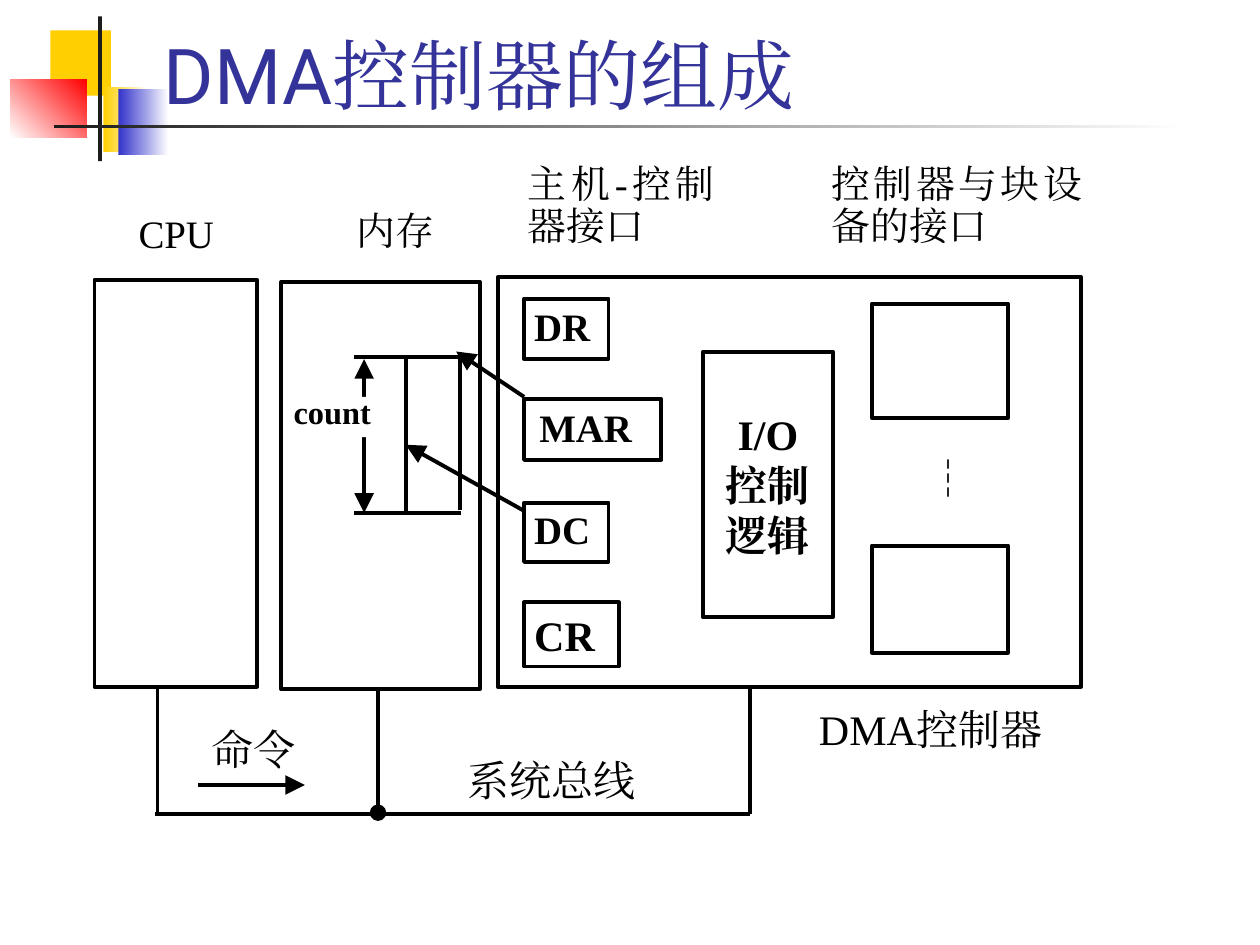
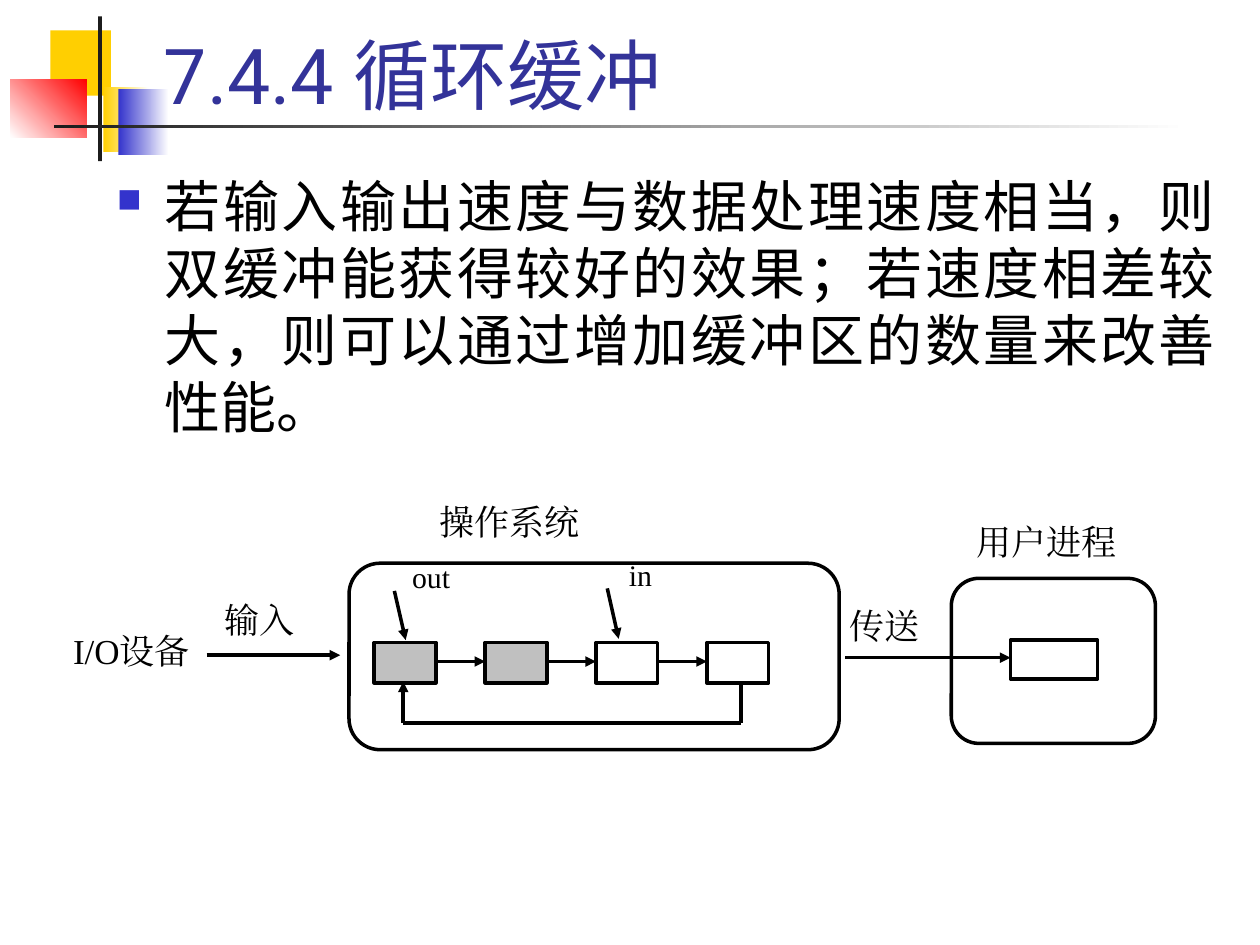
import pptx
import pptx.util
import pptx.dml.color
import pptx.enum.shapes
import pptx.enum.text
import pptx.oxml
import pptx.oxml.ns
from lxml import etree

Inches = pptx.util.Inches
Pt = pptx.util.Pt
qn = pptx.oxml.ns.qn
SHAPE = pptx.enum.shapes.MSO_SHAPE
ALIGN = pptx.enum.text.PP_ALIGN
ANCHOR = pptx.enum.text.MSO_ANCHOR

COLORS = {
    "black": "000000",
    "white": "FFFFFF",
    "title": "333399",
    "blue": "3333CC",
    "yellow": "FFCF01",
    "red": "FF0000",
    "dark": "1C1C1C",
    "gray": "C0C0C0",
}
SERIF = "Times New Roman"
SANS = "Roboto"
SYMBOL = "Noto Sans CJK SC"


def rgb(name):
    """Return the named colour as an RGB value."""
    return pptx.dml.color.RGBColor.from_string(COLORS[name])


class Deck:
    """Hold the shared style and the slide being drawn."""

    def __init__(self):
        """Start a deck with its decorated title-only layout."""
        self.presentation = pptx.Presentation()
        self.presentation.slide_width = Inches(10)
        self.presentation.slide_height = Inches(7.5)
        self.layout = self.presentation.slide_layouts[5]
        self.slide = None
        self.line_width = 2
        self.arrow_size = "med"

    def new_slide(self, title_runs, line_width, arrow_size):
        """Add a slide with its title and set its line style."""
        first = self.slide is None
        self.slide = self.presentation.slides.add_slide(self.layout)
        self.line_width = line_width
        self.arrow_size = arrow_size
        if first:
            self.decorate_layout()
        title = self.slide.shapes.title
        title.left, title.top = Inches(1.2), Inches(0.17)
        title.width, title.height = Inches(8.52), Inches(0.83)
        self.frame(title, (0.1, 0.05, 0.1, 0.05), ANCHOR.BOTTOM)
        paragraph = title.text_frame.paragraphs[0]
        paragraph.alignment = ALIGN.LEFT
        for text, font in title_runs:
            self.run(paragraph, text, 44, font, "title")

    def decorate_layout(self):
        """Place the coloured squares and rules on the layout."""
        decorations = (
            ((0.4, 0.24, 0.48, 0.52), "yellow", None, 0),
            ((0.82, 0.69, 0.36, 0.52), "yellow", "white", 0),
            ((0.94, 0.71, 0.4, 0.52), "blue", "white", 0),
            ((0.08, 0.63, 0.61, 0.46), "white", "red", 45),
            ((0.78, 0.13, 0.03, 1.15), "dark", None, 0),
            ((0.43, 0.99, 9, 0.03), "dark", "white", 0),
        )
        for index, (place, start, end, angle) in enumerate(decorations):
            shape = self.box(place, fill=start, outlined=False)
            if end:
                shape.fill.gradient()
                shape.fill.gradient_angle = angle
                for stop, color in zip(shape.fill.gradient_stops, (start, end)):
                    stop.color.rgb = rgb(color)
            shape.element.nvSpPr.cNvPr.id = 20 + index
            self.layout.shapes.element.insert(2 + index, shape.element)

    def box(self, place, fill="white", kind=SHAPE.RECTANGLE, outlined=True):
        """Draw a filled preset shape."""
        shape = self.slide.shapes.add_shape(kind, *map(Inches, place))
        shape.shadow.inherit = False
        shape.fill.solid()
        shape.fill.fore_color.rgb = rgb(fill)
        if outlined:
            shape.line.color.rgb = rgb("black")
            shape.line.width = Pt(self.line_width)
        else:
            shape.line.fill.background()
        return shape

    def line(self, start, end, head=False, tail=False):
        """Draw a straight line with optional arrowheads."""
        connector = self.slide.shapes.add_connector(
            pptx.enum.shapes.MSO_CONNECTOR.STRAIGHT, *map(Inches, start + end))
        connector.line.color.rgb = rgb("black")
        connector.line.width = Pt(self.line_width)
        properties = connector.element.spPr
        outline = properties.find(qn("a:ln"))
        for tag, wanted in (("a:headEnd", head), ("a:tailEnd", tail)):
            if wanted:
                etree.SubElement(outline, qn(tag), type="triangle",
                                 w=self.arrow_size, len=self.arrow_size)
        etree.SubElement(properties, qn("a:effectLst"))

    def frame(self, shape, margins, anchor):
        """Set wrapping, insets and anchor of a shape's text."""
        frame = shape.text_frame
        frame.auto_size = pptx.enum.text.MSO_AUTO_SIZE.NONE
        frame.word_wrap = True
        frame.vertical_anchor = anchor
        (frame.margin_left, frame.margin_top,
         frame.margin_right, frame.margin_bottom) = map(Inches, margins)

    def run(self, paragraph, text, size, font=SERIF, color="black", bold=False):
        """Add one formatted run to a paragraph."""
        run = paragraph.add_run()
        run.text = text
        run.font.size = Pt(size)
        run.font.bold = bold
        run.font.color.rgb = rgb(color)
        run.font.name = font
        etree.SubElement(run.font._element, qn("a:ea"), typeface=font)

    def text(self, shape, lines, size, margins=(0, 0, 0, 0), anchor=ANCHOR.TOP,
             align=ALIGN.JUSTIFY, spacing=1.0, font=SERIF, bold=False):
        """Fill a shape with one paragraph per line."""
        self.frame(shape, margins, anchor)
        frame = shape.text_frame
        for index, content in enumerate(lines):
            paragraph = frame.add_paragraph() if index else frame.paragraphs[0]
            paragraph.alignment = align
            paragraph.line_spacing = spacing
            self.run(paragraph, content, size, font, bold=bold)

    def label(self, place, content, size, **style):
        """Add a text box with one paragraph."""
        shape = self.slide.shapes.add_textbox(*map(Inches, place))
        self.text(shape, [content], size, **style)

    def bullet(self, place, content):
        """Add a text box with one square-bulleted paragraph."""
        shape = self.slide.shapes.add_textbox(*map(Inches, place))
        paragraph = shape.text_frame.paragraphs[0]
        properties = paragraph._p.get_or_add_pPr()
        properties.set("marL", str(Inches(0.38)))
        properties.set("indent", str(-Inches(0.38)))
        color = etree.SubElement(properties, qn("a:buClr"))
        etree.SubElement(color, qn("a:srgbClr"), val=COLORS["blue"])
        etree.SubElement(properties, qn("a:buSzPct"), val="60000")
        etree.SubElement(properties, qn("a:buChar"), char="■")
        self.text(shape, [content], 32, margins=(0.1, 0.05, 0.1, 0.05), font=SANS)


def draw_dma_controller(deck):
    """Draw the parts of a DMA controller."""
    deck.new_slide([("DMA", SANS), ("控制器的组成", SERIF)], 2.25, "lg")

    for place in ((3.95, 2.2, 4.63, 3.25), (0.75, 2.22, 1.29, 3.23),
                  (2.23, 2.24, 1.58, 3.23), (6.92, 2.41, 1.08, 0.91),
                  (6.92, 4.33, 1.08, 0.85)):
        deck.box(place)

    logic = deck.box((5.58, 2.79, 1.03, 2.11))
    deck.text(logic, ["I/O", "控制", "逻辑"], 24, margins=(0.06, 0.05, 0.06, 0.05),
              anchor=ANCHOR.MIDDLE, align=ALIGN.CENTER, bold=True)

    registers = (
        ("DR", 2.37, 0.67, 0.48, 0.08, 22.2, 0.9),
        ("MAR", 3.17, 1.09, 0.48, 0.12, 22.2, 0.9),
        ("DC", 3.99, 0.67, 0.47, 0.08, 22.2, 0.9),
        ("CR", 4.78, 0.75, 0.51, 0.08, 24, 1.0),
    )
    for name, top, width, height, inset, size, spacing in registers:
        register = deck.box((4.16, top, width, height))
        deck.text(register, [name], size, margins=(inset, 0.05, 0.04, 0.05),
                  anchor=ANCHOR.MIDDLE, spacing=spacing, bold=True)

    bus = 6.46
    for x, top in ((1.25, 5.45), (3, 5.47), (5.95, 5.45)):
        deck.line((x, bus), (x, top))
    deck.line((1.23, bus), (5.95, bus))
    deck.line((1.57, 6.23), (2.42, 6.23), tail=True)

    for y in (2.83, 4.07):
        deck.line((3.66, y), (2.81, y))
    deck.line((3.65, 4.05), (3.65, 2.83))
    deck.line((3.22, 4.07), (3.22, 2.85))
    deck.line((2.89, 4.07), (2.89, 2.85), head=True, tail=True)
    deck.line((4.16, 3.15), (3.62, 2.79), tail=True)
    deck.line((4.17, 4.06), (3.22, 3.53), tail=True)

    count = deck.box((2.33, 3.15, 0.71, 0.32), outlined=False)
    deck.text(count, ["count"], 18.5, spacing=0.9, bold=True)

    junction = deck.box((2.94, 6.39, 0.12, 0.12), "black", SHAPE.OVAL)
    junction.line.width = Pt(0.75)

    for place, content in (((6.6, 1.31, 1.99, 0.77), "控制器与块设备的接口"),
                           ((4.19, 1.31, 1.48, 0.75), "主机-控制器接口"),
                           ((1.1, 1.71, 0.66, 0.4), "CPU"),
                           ((2.83, 1.68, 0.75, 0.4), "内存")):
        deck.label(place, content, 22.2, spacing=0.9)
    for place, content in (((3.71, 5.99, 1.45, 0.42), "系统总线"),
                           ((1.68, 5.74, 0.69, 0.45), "命令"),
                           ((6.5, 5.58, 2, 0.44), "DMA控制器")):
        deck.label(place, content, 24)
    deck.label((7.26, 3.59, 0.48, 0.57), "┆", 24, margins=(0.1, 0, 0.1, 0),
               font=SYMBOL, bold=True)


def draw_circular_buffer(deck):
    """Draw the circular buffer between device and process."""
    deck.new_slide([("7.4.4 循环缓冲", SANS)], 2, "med")
    deck.bullet((0.83, 1.31, 8.92, 2.67),
                "若输入输出速度与数据处理速度相当，则双缓冲能获得较好的效果；"
                "若速度相差较大，则可以通过增加缓冲区的数量来改善性能。")

    for place in ((2.77, 4.47, 3.89, 1.48), (7.55, 4.59, 1.62, 1.31)):
        deck.box(place, kind=SHAPE.ROUNDED_RECTANGLE)
    deck.box((8.02, 5.08, 0.69, 0.31))

    left, pitch, width = 2.97, 0.88, 0.49
    fills = ("gray", "gray", "white", "white")
    for index, fill in enumerate(fills):
        x = left + index * pitch
        deck.box((x, 5.1, width, 0.32), fill)
        if index < len(fills) - 1:
            deck.line((x + width, 5.25), (x + pitch, 5.25), tail=True)

    deck.line((5.88, 5.42), (5.88, 5.74))
    deck.line((5.88, 5.74), (3.2, 5.74))
    deck.line((3.2, 5.74), (3.2, 5.41), tail=True)
    for start, end in (((6.71, 5.22), (8.02, 5.22)), ((1.64, 5.2), (2.7, 5.2)),
                       ((4.82, 4.67), (4.91, 5.07)), ((3.13, 4.69), (3.22, 5.08))):
        deck.line(start, end, tail=True)

    for place, content in (((3.49, 3.92, 1.27, 0.49), "操作系统"),
                           ((0.58, 4.95, 1.15, 0.47), "I/O设备"),
                           ((1.78, 4.7, 0.85, 0.47), "输入"),
                           ((7.75, 4.08, 1.24, 0.51), "用户进程"),
                           ((6.74, 4.75, 0.85, 0.45), "传送")):
        deck.label(place, content, 20, margins=(0, 0.05, 0, 0.05))
    for place, content in (((4.99, 4.45, 0.29, 0.3), "in"),
                           ((3.27, 4.47, 0.51, 0.28), "out")):
        deck.label(place, content, 17, spacing=0.9)


def main():
    """Build and save the deck."""
    deck = Deck()
    draw_dma_controller(deck)
    draw_circular_buffer(deck)
    deck.presentation.save("out.pptx")


if __name__ == "__main__":
    main()
